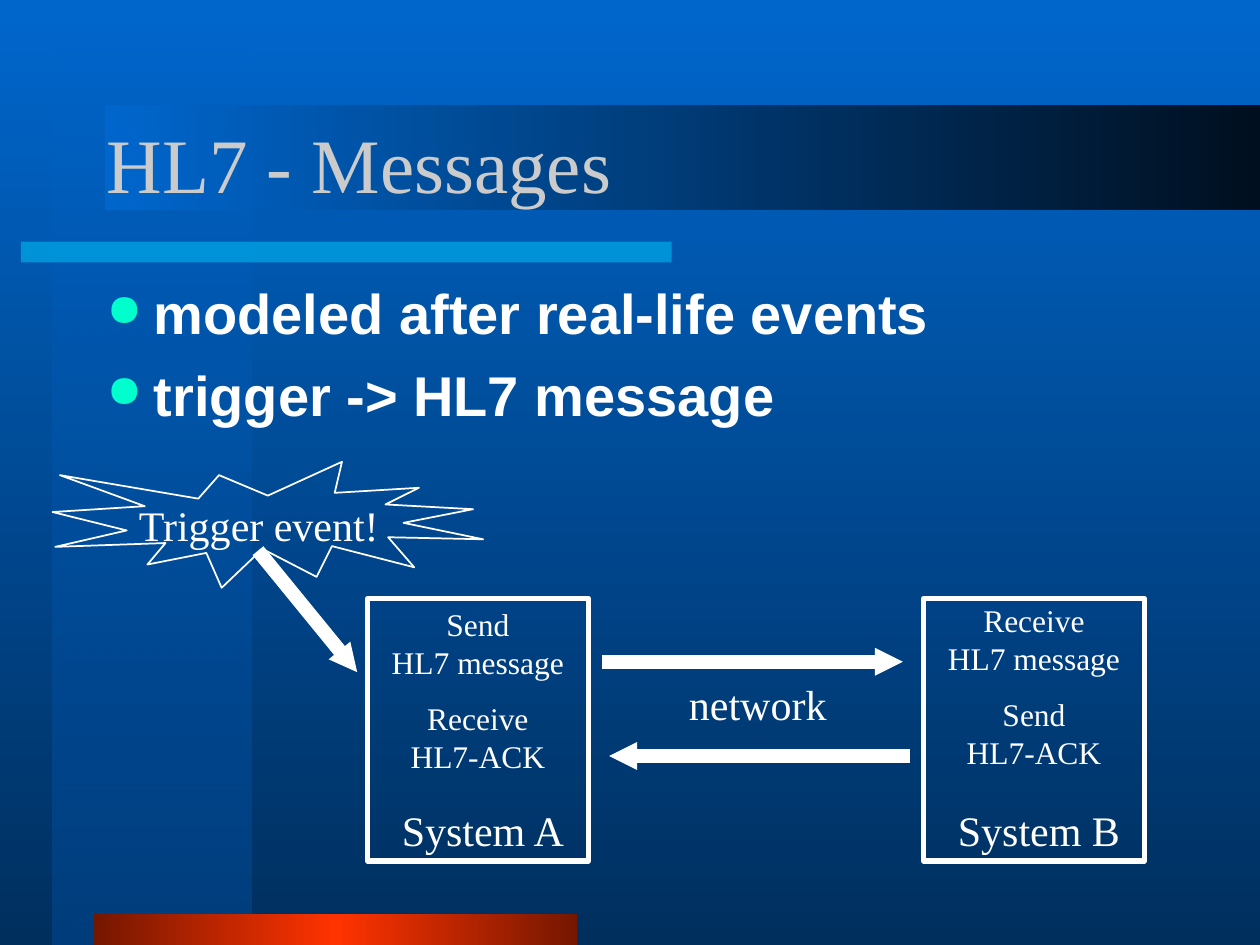
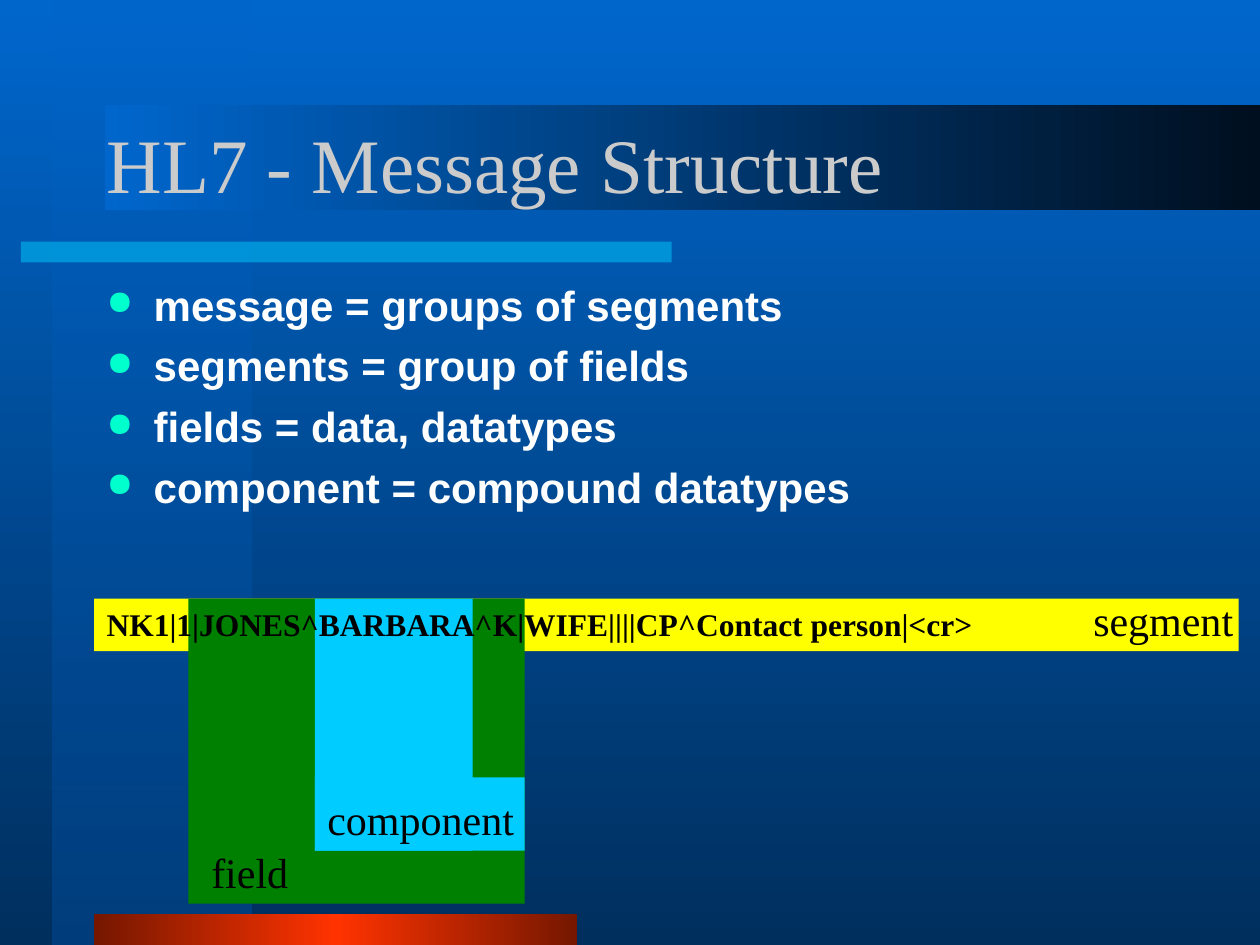
import dataclasses

import lxml.etree
import pptx
import pptx.dml.color
import pptx.enum.shapes
import pptx.enum.text
import pptx.oxml.ns
import pptx.util

Cm = pptx.util.Cm
Pt = pptx.util.Pt
qn = pptx.oxml.ns.qn
KIND = pptx.enum.shapes.MSO_SHAPE
ALIGN = pptx.enum.text.PP_ALIGN
ANCHOR = pptx.enum.text.MSO_ANCHOR


@dataclasses.dataclass(frozen=True)
class Theme:
    serif: str = "Times New Roman"
    sans: str = "Arial"
    white: str = "FFFFFF"
    black: str = "000000"
    silver: str = "CBCBCB"
    mint: str = "00FFCC"
    cyan: str = "00CCFF"
    yellow: str = "FFFF00"
    green: str = "008000"
    # Colour runs: position, colour, opacity, all but colour in percent
    sky: tuple = ((0, "0066CC", 100), (100, "002F5E", 100))
    stripe: tuple = ((0, "0066CC", 50), (100, "003E7D", 100))
    band: tuple = ((0, "0066CC", 100), (100, "000F1F", 100))
    ember: tuple = ((0, "751700", 100), (50, "FF3300", 100), (100, "751700", 100))
    head: int = 44
    large: int = 32
    label: int = 24
    small: int = 18


T = Theme()


def rgb(code):
    return pptx.dml.color.RGBColor.from_string(code)


def node(parent, tag, **attrs):
    """Append an XML child with the given attributes."""
    child = lxml.etree.SubElement(parent, qn(tag))
    for key, value in attrs.items():
        child.set(key, str(value))
    return child


def fade(fill, root, stops, angle):
    """Fill with a run of colours; root is the element that holds the fill."""
    fill.gradient()
    fill.gradient_angle = angle
    holder = root.find(".//" + qn("a:gsLst"))
    for old in list(holder):
        holder.remove(old)
    for place, code, alpha in stops:
        stop = node(holder, "a:gs", pos=place * 1000)
        tint = node(stop, "a:srgbClr", val=code)
        if alpha < 100:
            node(tint, "a:alpha", val=alpha * 1000)


def block(slide, box, fill=None, stops=None, angle=0, line=None, width=1,
          alpha=100, kind=KIND.RECTANGLE):
    """Draw a preset shape with a plain fill, a colour run or no fill."""
    shape = slide.shapes.add_shape(kind, *map(Cm, box))
    shape.shadow.inherit = False
    if stops:
        fade(shape.fill, shape.element, stops, angle)
    elif fill:
        shape.fill.solid()
        shape.fill.fore_color.rgb = rgb(fill)
        if alpha < 100:
            tint = shape.element.spPr.find(".//" + qn("a:srgbClr"))
            node(tint, "a:alpha", val=alpha * 1000)
    else:
        shape.fill.background()
    if line:
        shape.line.color.rgb = rgb(line)
        shape.line.width = Pt(width)
    else:
        shape.line.fill.background()


def write(slide, box, *lines, size=T.label, color=T.white, font=T.serif,
          bold=False, align=ALIGN.LEFT, anchor=ANCHOR.TOP, wrap=True,
          bullet=None, gap=0):
    """Write one paragraph for each line, with gap points between them."""
    frame = slide.shapes.add_textbox(*map(Cm, box)).text_frame
    frame.word_wrap = wrap
    frame.vertical_anchor = anchor
    for index, line in enumerate(lines):
        para = frame.add_paragraph() if index else frame.paragraphs[0]
        para.alignment = align
        if index and gap:
            para.space_before = Pt(gap)
        if bullet:
            props = para._p.get_or_add_pPr()
            indent = Cm(0.95)
            props.set("marL", str(indent))
            props.set("indent", str(-indent))
            node(node(props, "a:buClr"), "a:srgbClr", val=bullet)
            node(props, "a:buSzPct", val=80000)
            node(props, "a:buChar", char="●")
        run = para.add_run()
        run.text = line
        run.font.size = Pt(size)
        run.font.name = font
        run.font.bold = bold
        run.font.color.rgb = rgb(color)


def arrow(slide, start, end):
    line = slide.shapes.add_connector(
        pptx.enum.shapes.MSO_CONNECTOR.STRAIGHT, *map(Cm, start + end))
    line.line.color.rgb = rgb(T.white)
    line.line.width = Pt(8)
    props = line.element.spPr
    stroke = props.find(qn("a:ln"))
    stroke.set("cap", "sq")
    node(stroke, "a:tailEnd", type="triangle", w="sm", len="sm")
    node(props, "a:effectLst")


def base(deck, title):
    """Add a slide with the shared ground, bands and title."""
    slide = deck.slides.add_slide(deck.slide_layouts[6])
    fade(slide.background.fill, slide.element, T.sky, 270)
    block(slide, (1.06, 0, 4.02, 19.05), stops=T.stripe, angle=270)
    block(slide, (0.42, 4.87, 13.12, 0.42), fill=T.cyan, alpha=50)
    block(slide, (1.9, 18.42, 9.74, 0.63), stops=T.ember)
    block(slide, (2.12, 2.12, 23.28, 2.12), stops=T.band)
    write(slide, (1.9, 1.69, 21.59, 3.18), title, size=T.head,
          color=T.silver, anchor=ANCHOR.MIDDLE)
    return slide


def points(slide, box, *lines, size):
    write(slide, box, *lines, size=size, font=T.sans, bold=True,
          bullet=T.mint, gap=size / 4)


def system(slide, box, name, first, second, lift=0):
    """Draw a system with two steps, raised by lift, and its name below."""
    left, top, wide, high = box
    block(slide, box, line=T.white, width=3)
    for step, drop in ((first, 0), (second, 1.9)):
        write(slide, (left, top + drop - lift, wide, 1.78), *step,
              size=T.small, align=ALIGN.CENTER)
    write(slide, (left + 0.1, top + high - 1.27, wide, 1.27), name,
          align=ALIGN.CENTER)


def flow(slide, box):
    """Show the trigger and the exchange between two systems."""
    left, top, wide, high = box
    burst_high = 2.54
    room_wide, room_high = 4.45, 5.29
    room_top = top + high - room_high
    room_a, room_b = left + 6.35, left + wide - room_wide
    write(slide, (left + 1.48, top + 0.64, 5.36, 1.27), "Trigger event!",
          align=ALIGN.CENTER)
    block(slide, (left, top, 8.68, burst_high), line=T.white,
          kind=KIND.EXPLOSION1)
    system(slide, (room_a, room_top, room_wide, room_high), "System A",
           ("Send", "HL7 message"), ("Receive", "HL7-ACK"))
    system(slide, (room_b, room_top, room_wide, room_high), "System B",
           ("Receive", "HL7 message"), ("Send", "HL7-ACK"), lift=0.08)
    near, far = room_a + room_wide + 0.42, room_b - 0.42
    go, back = room_top + 1.27, room_top + 3.17
    arrow(slide, (left + 4.23, top + 1.9), (room_a - 0.21, room_top + 1.48))
    arrow(slide, (near, go), (far, go))
    arrow(slide, (far, back), (near, back))
    write(slide, (near + 1.36, room_top + 1.48, 3.28, 1.27), "network",
          wrap=False)


def segment(slide, box):
    """Mark the field and the component inside one message segment."""
    left, top, wide, high = box
    field, part = left + 1.9, left + 4.45
    part_high, foot_high = 5.08, 1.48
    field_wide = 6.78
    foot_wide = field + field_wide - part
    block(slide, box, fill=T.yellow)
    write(slide, (left + 19.89, top - 0.21, 3.33, 1.27), "segment",
          color=T.black, wrap=False)
    block(slide, (field, top, field_wide, 6.15), fill=T.green)
    write(slide, (field + 0.21, top + 4.87, 2.06, 1.27), "field",
          color=T.black, wrap=False)
    block(slide, (part, top, 3.18, part_high), fill=T.cyan)
    write(slide, (left, top, wide, high),
          "NK1|1|JONES^BARBARA^K|WIFE||||CP^Contact person|<cr>",
          size=T.small, color=T.black, bold=True)
    block(slide, (part, top + part_high - foot_high, foot_wide, foot_high),
          fill=T.cyan)
    write(slide, (part, top + part_high - 1.27, 4.45, 1.27), "component",
          color=T.black)


def main():
    deck = pptx.Presentation()
    deck.slide_width, deck.slide_height = Cm(25.4), Cm(19.05)

    slide = base(deck, "HL7 - Messages")
    points(slide, (1.9, 5.5, 21.59, 3.39), "modeled after real-life events",
           "trigger -> HL7 message", size=T.large)
    flow(slide, (1.06, 9.31, 22.01, 8.05))

    slide = base(deck, "HL7 - Message Structure")
    points(slide, (1.9, 5.5, 21.59, 5.08), "message = groups of segments",
           "segments = group of fields", "fields = data, datatypes",
           "component = compound datatypes", size=T.label)
    segment(slide, (1.9, 12.07, 23.07, 1.06))

    deck.save("out.pptx")


if __name__ == "__main__":
    main()
